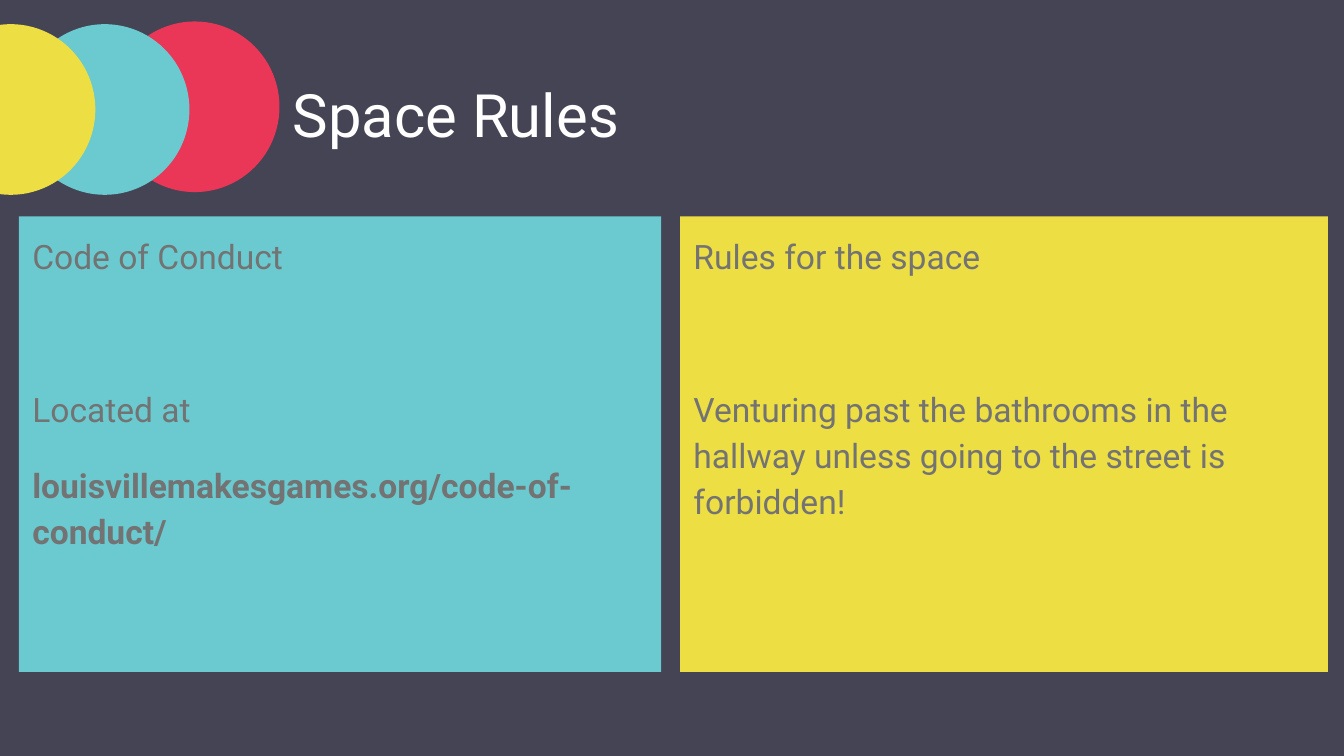
"""Builds the Space Rules slide: a title beside three circles, above two coloured panels."""
from lxml import etree
from pptx import Presentation
from pptx import util as u
from pptx.dml.color import RGBColor
from pptx.enum import shapes, text
from pptx.oxml.ns import qn

SLATE = RGBColor(0x44, 0x44, 0x55)
RED = RGBColor(0xEA, 0x36, 0x57)
TEAL = RGBColor(0x6A, 0xCA, 0xD0)
YELLOW = RGBColor(0xED, 0xDE, 0x44)
WHITE = RGBColor(0xFF, 0xFF, 0xFF)
GREY = RGBColor(0x73, 0x73, 0x73)

FONT = "Roboto"
WIDTH = u.Inches(10)
HEIGHT = WIDTH * 9 // 16
TITLE = "Space Rules"
TITLE_AREA = (2.08, 0.41, 7.58, 0.8)
CIRCLE_SIZE = (1.26, 1.27)
CIRCLES = [(0.82, 0.16, RED), (0.15, 0.18, TEAL), (-0.55, 0.18, YELLOW)]
PANEL_TOP, PANEL_HEIGHT = 1.61, 3.39
HEADING_GAP, PARA_GAP = 57, 16
PANELS = [
    (0.14, 4.78, TEAL, "Code of Conduct",
     [("Located at", False), ("louisvillemakesgames.org/code-of-conduct/", True)]),
    (5.06, 4.82, YELLOW, "Rules for the space",
     [("Venturing past the bathrooms in the hallway unless going to the street is forbidden!",
       False)]),
]


def place(box, left, top, width, height):
    box.left, box.top = u.Inches(left), u.Inches(top)
    box.width, box.height = u.Inches(width), u.Inches(height)


def set_frame(box, anchor):
    frame = box.text_frame
    frame.word_wrap = True
    frame.auto_size = text.MSO_AUTO_SIZE.NONE
    frame.vertical_anchor = anchor
    frame.margin_left = frame.margin_right = u.Inches(0.1)
    frame.margin_top = frame.margin_bottom = u.Inches(0.1)
    return frame


def style(para, size, color, bold=False):
    para.alignment = text.PP_ALIGN.LEFT
    para.space_before = u.Pt(0)
    para.font.name, para.font.size, para.font.bold = FONT, u.Pt(size), bold
    para.font.color.rgb = color


def add_title(page):
    title = page.shapes.title
    place(title, *TITLE_AREA)
    para = set_frame(title, text.MSO_ANCHOR.BOTTOM).paragraphs[0]
    para.text = TITLE
    style(para, 32, WHITE)


def add_circles(page):
    for left, top, color in CIRCLES:
        circle = page.shapes.add_shape(
            shapes.MSO_SHAPE.OVAL, *map(u.Inches, (left, top, *CIRCLE_SIZE)))
        circle.shadow.inherit = False
        circle.fill.solid()
        circle.fill.fore_color.rgb = color
        circle.line.fill.background()
        page.shapes.title.element.addprevious(circle.element)


def fill_panel(box, left, width, color, heading, lines):
    place(box, left, PANEL_TOP, width, PANEL_HEIGHT)
    box.fill.solid()
    box.fill.fore_color.rgb = color
    frame = set_frame(box, text.MSO_ANCHOR.TOP)
    for index, (words, bold) in enumerate([(heading, False), *lines]):
        para = frame.add_paragraph() if index else frame.paragraphs[0]
        para.text = words
        properties = para._p.get_or_add_pPr()
        properties.set("marL", "0")
        properties.set("indent", "0")
        etree.SubElement(properties, qn("a:buNone"))
        para.line_spacing = 1.15
        para.space_after = u.Pt(PARA_GAP if index else HEADING_GAP)
        style(para, 18, GREY, bold)


def main():
    deck = Presentation()
    deck.slide_width, deck.slide_height = WIDTH, HEIGHT
    page = deck.slides.add_slide(deck.slide_layouts.get_by_name("Two Content"))
    page.background.fill.solid()
    page.background.fill.fore_color.rgb = SLATE
    add_title(page)
    add_circles(page)
    for number, panel in enumerate(PANELS, start=1):
        fill_panel(page.placeholders[number], *panel)
    deck.save("out.pptx")


if __name__ == "__main__":
    main()
